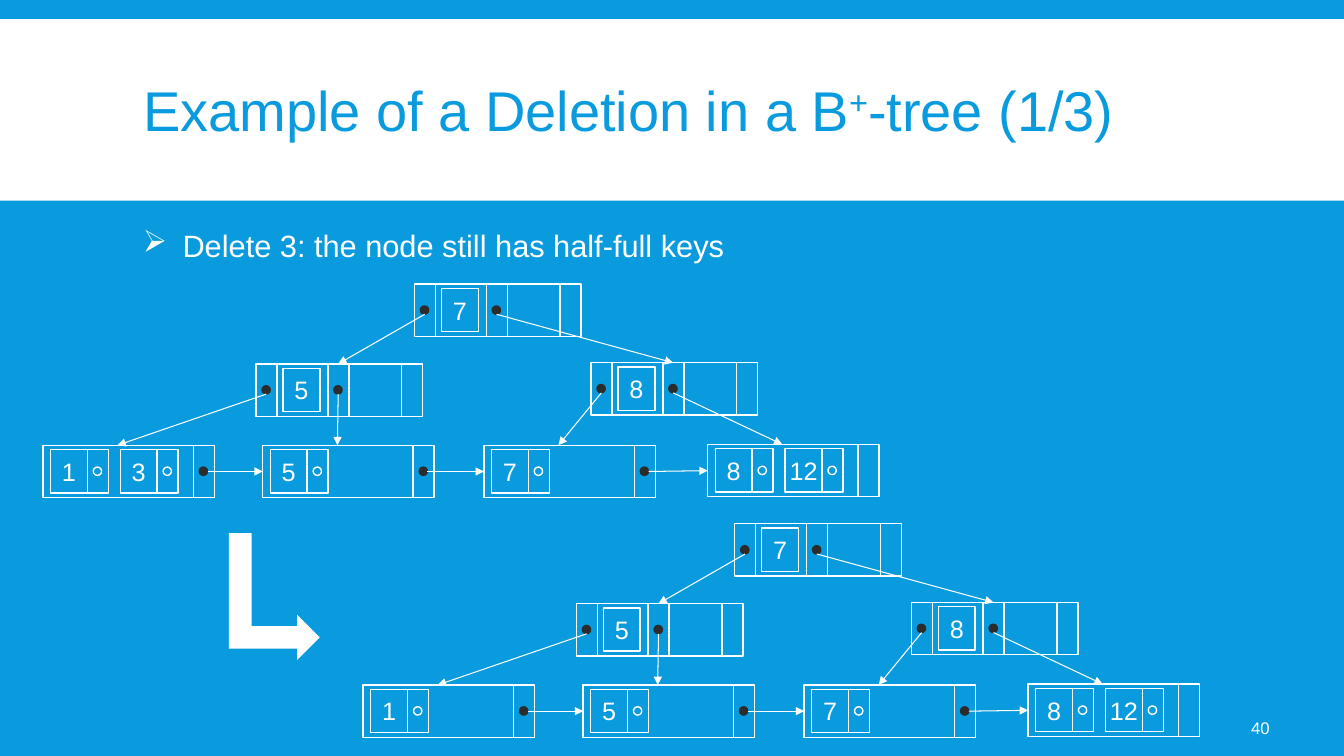
from dataclasses import dataclass
from typing import Any

import pptx
import pptx.dml.color
import pptx.enum.shapes
import pptx.enum.text
import pptx.oxml.ns
import pptx.util
from pptx.util import Cm

BLUE, WHITE, DARK = "099BDD", "FFFFFF", "2C2C2C"
SHAPE = pptx.enum.shapes.MSO_SHAPE
ALIGN = pptx.enum.text.PP_ALIGN
MIDDLE = pptx.enum.text.MSO_ANCHOR.MIDDLE

# Node geometry in cm
NODE_H = 1.32
SLOT_W = 0.53
INDEX_SLOTS = (0, 1.81, 3.67)
LEAF_W = 3.79
LEAF_ENTRIES = (0.19, 1.95)
KEY_W, KEY_H, KEY_TOP = 0.93, 1.09, 0.11
DOT, DOT_LEFT, DOT_TOP = 0.21, 0.15, 0.55


@dataclass(frozen=True)
class IndexNode:
    x: float
    y: float
    key: str
    children: tuple[int, int]


@dataclass(frozen=True)
class Leaf:
    x: float
    y: float
    keys: tuple[str, ...]


@dataclass(frozen=True)
class Tree:
    dx: float
    dy: float
    first_leaf_keys: tuple[str, ...]


# Children of the root index the lower index nodes, the others index the leaves
ROOT = IndexNode(10.44, 7.16, "7", (0, 1))
INDEX_NODES = (
    IndexNode(6.45, 9.17, "5", (0, 1)),
    IndexNode(14.89, 9.14, "8", (2, 3)),
)
OTHER_LEAVES = (
    Leaf(6.62, 11.22, ("5",)),
    Leaf(12.19, 11.22, ("7",)),
    Leaf(17.83, 11.2, ("8", "12")),
)
TREES = (Tree(0, 0, ("1", "3")), Tree(8.07, 6.04, ("1",)))


def rgb(value: str) -> pptx.dml.color.RGBColor:
    return pptx.dml.color.RGBColor.from_string(value)


def set_format(target: Any, values: dict[str, Any]) -> None:
    for name, value in values.items():
        setattr(target, name, value)


def set_font(font: Any, size: float, color: str) -> None:
    set_format(font, {"name": "Arial", "size": pptx.util.Pt(size)})
    font.color.rgb = rgb(color)


def add_box(s: Any, kind: Any, x: float, y: float, w: float, h: float,
            fill: str | None = None, line: str | None = WHITE) -> Any:
    sp = s.shapes.add_shape(kind, Cm(x), Cm(y), Cm(w), Cm(h))
    sp.shadow.inherit = False
    if fill:
        sp.fill.solid()
        sp.fill.fore_color.rgb = rgb(fill)
    else:
        sp.fill.background()
    if line:
        sp.line.color.rgb = rgb(line)
        sp.line.width = pptx.util.Pt(1)
    else:
        sp.line.fill.background()
    return sp


def add_arrow(s: Any, x1: float, y1: float, x2: float, y2: float) -> None:
    c = s.shapes.add_connector(pptx.enum.shapes.MSO_CONNECTOR.STRAIGHT,
                               Cm(x1), Cm(y1), Cm(x2), Cm(y2))
    c.line.color.rgb = rgb(WHITE)
    c.line.width = pptx.util.Pt(0.75)
    ln = c.line._get_or_add_ln()
    ln.append(ln.makeelement(pptx.oxml.ns.qn("a:tailEnd"), {"type": "triangle"}))
    spPr = c._element.spPr
    spPr.append(spPr.makeelement(pptx.oxml.ns.qn("a:effectLst"), {}))


def add_key(s: Any, x: float, y: float, key: str) -> None:
    tf = add_box(s, SHAPE.RECTANGLE, x, y + KEY_TOP, KEY_W, KEY_H).text_frame
    set_format(tf, {"margin_left": 0, "margin_right": 0,
                    "vertical_anchor": MIDDLE, "word_wrap": True})
    p = tf.paragraphs[0]
    p.alignment = ALIGN.CENTER
    r = p.add_run()
    r.text = key
    set_font(r.font, 18, WHITE)


def add_slot(s: Any, x: float, y: float, dot: bool) -> None:
    """Draw a pointer slot, with a dark dot when the pointer is in use."""
    add_box(s, SHAPE.RECTANGLE, x, y, SLOT_W, NODE_H)
    if dot:
        add_box(s, SHAPE.OVAL, x + DOT_LEFT, y + DOT_TOP, DOT, DOT, DARK, DARK)


def draw_index(s: Any, node: IndexNode, below: tuple, dx: float, dy: float) -> None:
    x, y = node.x + dx, node.y + dy
    add_box(s, SHAPE.RECTANGLE, x + SLOT_W, y, INDEX_SLOTS[-1] - SLOT_W, NODE_H)
    add_key(s, x + 0.68, y, node.key)
    for i, left in enumerate(INDEX_SLOTS):
        add_slot(s, x + left, y, i < len(node.children))
    for left, child in zip(INDEX_SLOTS, node.children):
        target = below[child]
        middle = 1.88 if isinstance(target, Leaf) else 2.07
        add_arrow(s, x + left + 0.26, y + 0.76,
                  target.x + dx + middle, target.y + dy)


def draw_leaf(s: Any, leaf: Leaf, following: Leaf | None, dx: float, dy: float) -> None:
    x, y = leaf.x + dx, leaf.y + dy
    add_box(s, SHAPE.RECTANGLE, x, y, LEAF_W, NODE_H)
    add_slot(s, x + LEAF_W, y, following is not None)
    for left, key in zip(LEAF_ENTRIES, leaf.keys):
        add_key(s, x + left, y, key)
        pointer = x + left + KEY_W
        add_box(s, SHAPE.RECTANGLE, pointer, y + KEY_TOP, SLOT_W, KEY_H)
        add_box(s, SHAPE.OVAL, pointer + DOT_LEFT, y + DOT_TOP, DOT, DOT)
    if following:
        add_arrow(s, x + LEAF_W + DOT_LEFT + DOT, y + 0.66,
                  following.x + dx, following.y + dy + 0.66)


def draw_tree(s: Any, tree: Tree) -> None:
    leaves = (Leaf(1.08, 11.22, tree.first_leaf_keys), *OTHER_LEAVES)
    draw_index(s, ROOT, INDEX_NODES, tree.dx, tree.dy)
    for node in INDEX_NODES:
        draw_index(s, node, leaves, tree.dx, tree.dy)
    for leaf, following in zip(leaves, (*leaves[1:], None)):
        draw_leaf(s, leaf, following, tree.dx, tree.dy)


def add_title(s: Any) -> None:
    band = add_box(s, SHAPE.RECTANGLE, 0, 0.48, 33.86, 4.58, WHITE, None)
    s.shapes._spTree.insert(2, band._element)
    title = s.shapes.title
    set_format(title, {"left": Cm(3.35), "top": Cm(0.79),
                       "width": Cm(27.18), "height": Cm(4.19)})
    tf = title.text_frame
    set_format(tf, {"vertical_anchor": MIDDLE, "word_wrap": True,
                    "auto_size": pptx.enum.text.MSO_AUTO_SIZE.NONE})
    p = tf.paragraphs[0]
    set_format(p, {"alignment": ALIGN.LEFT, "line_spacing": 0.85})
    for text, baseline in (("Example of a Deletion in a B", 0), ("+", 30000),
                           ("-tree (1/3)", 0)):
        r = p.add_run()
        r.text = text
        set_font(r.font, 40, BLUE)
        if baseline:
            r.font._element.set("baseline", str(baseline))


def add_text(s: Any, text: str, size: float, x: float, y: float, w: float, h: float) -> Any:
    tf = s.shapes.add_textbox(Cm(x), Cm(y), Cm(w), Cm(h)).text_frame
    tf.word_wrap = True
    r = tf.paragraphs[0].add_run()
    r.text = text
    set_font(r.font, size, WHITE)
    return tf


def add_bullet(p: Any, char: str) -> None:
    pPr = p._p.get_or_add_pPr()
    set_indent = {"marL": Cm(1), "indent": -Cm(1)}
    for name, value in set_indent.items():
        pPr.set(name, str(int(value)))
    pPr.append(pPr.makeelement(pptx.oxml.ns.qn("a:buChar"), {"char": char}))


def main() -> None:
    prs = pptx.Presentation()
    set_format(prs, {"slide_width": Cm(33.86), "slide_height": Cm(19.05)})
    s = prs.slides.add_slide(prs.slide_layouts.get_by_name("Title Only"))
    s.background.fill.solid()
    s.background.fill.fore_color.rgb = rgb(BLUE)
    add_title(s)
    body = add_text(s, "Delete 3: the node still has half-full keys", 22,
                    3.35, 5.59, 27.28, 1.2)
    add_bullet(body.paragraphs[0], "➢")
    number = add_text(s, "40", 12, 29.62, 17.83, 2.62, 1.02)
    number.vertical_anchor = MIDDLE
    number.paragraphs[0].alignment = ALIGN.RIGHT
    for tree in TREES:
        draw_tree(s, tree)
    add_box(s, SHAPE.BENT_UP_ARROW, 5.31, 13.89, 3.2, 2.29, WHITE, None).rotation = 90
    prs.save("out.pptx")


if __name__ == "__main__":
    main()
